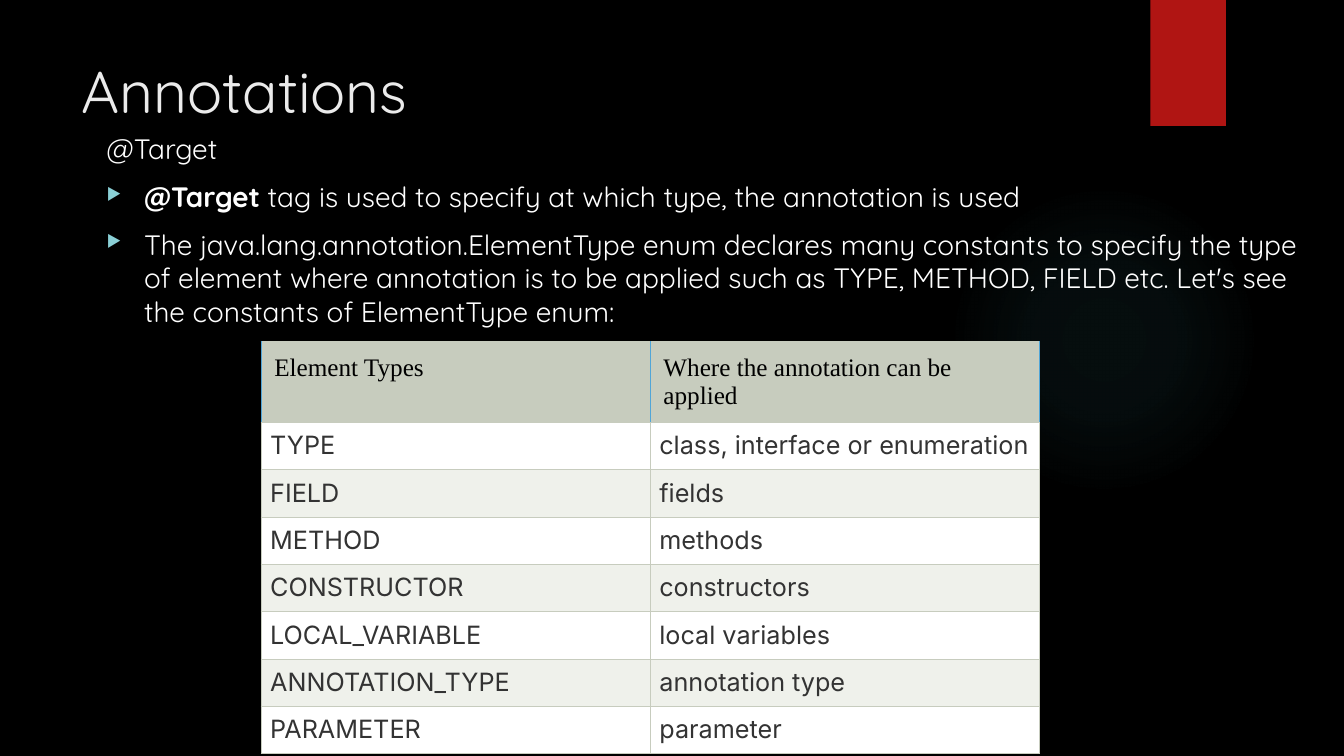
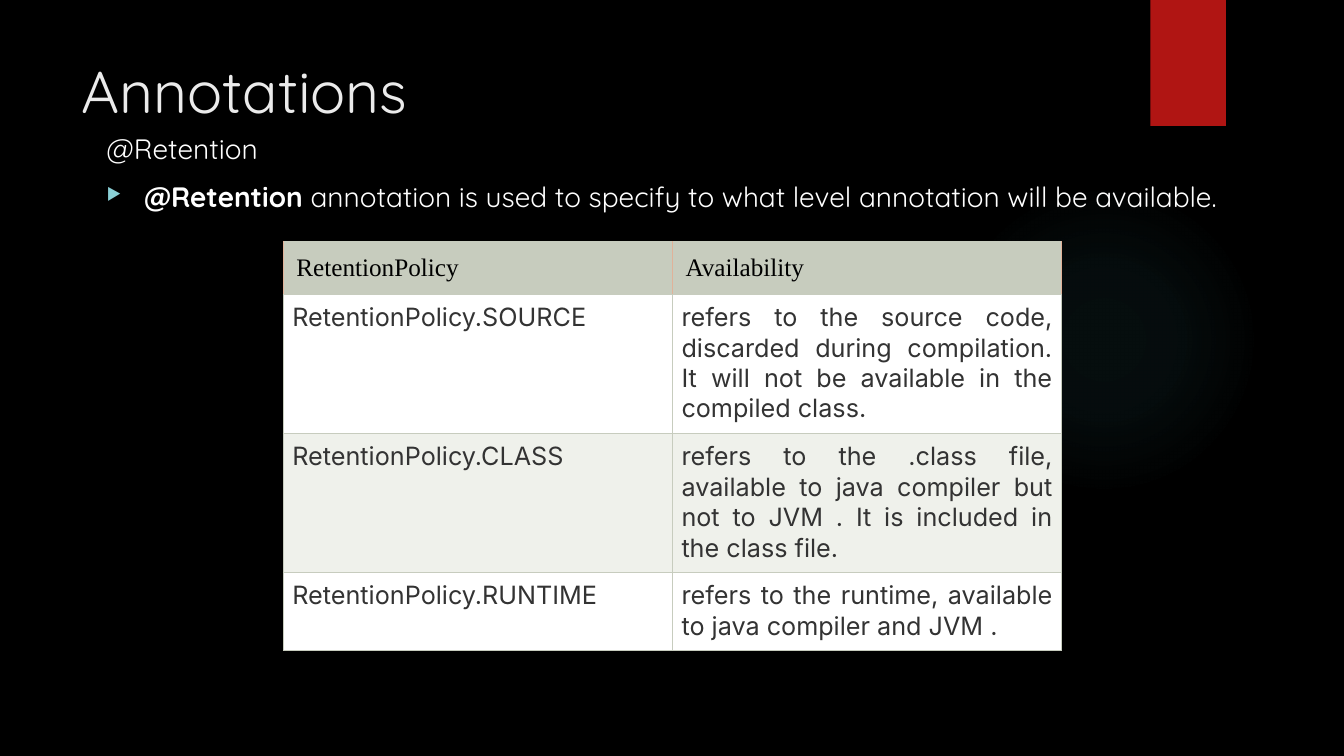
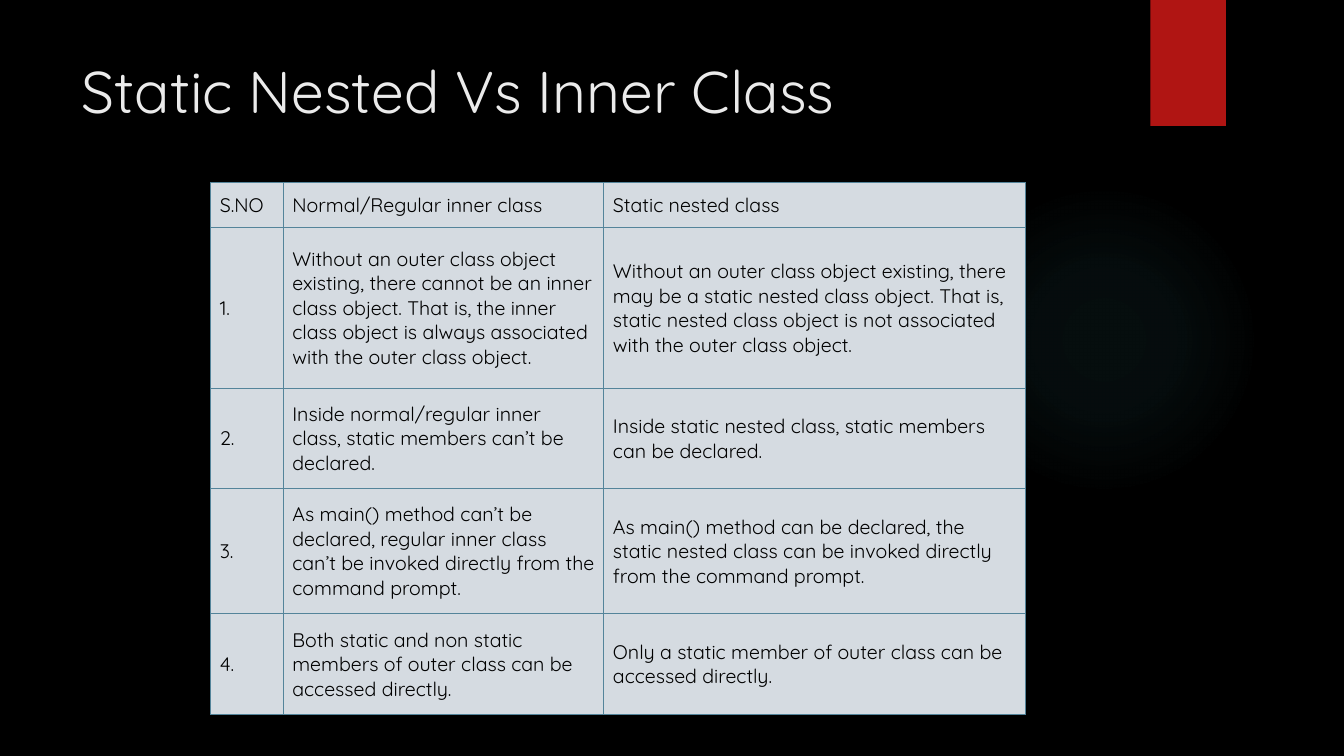
from lxml.etree import SubElement
from pptx import Presentation
from pptx.dml.color import RGBColor
from pptx.enum.shapes import MSO_SHAPE as Shape
from pptx.enum.text import MSO_ANCHOR as Anchor, MSO_AUTO_SIZE as AutoSize, PP_ALIGN as Align
from pptx.oxml import parse_xml
from pptx.oxml.ns import nsdecls, qn
from pptx.util import Inches, Pt

BLACK = RGBColor(0x00, 0x00, 0x00)
WHITE = RGBColor(0xFF, 0xFF, 0xFF)
TITLE_GREY = RGBColor(0xEB, 0xEB, 0xEB)
RED = RGBColor(0xB0, 0x15, 0x13)
GLOW = RGBColor(0x50, 0xB9, 0xC1)
BULLET = RGBColor(0x8A, 0xD0, 0xD6)
SAGE = RGBColor(0xC7, 0xCC, 0xBE)
PALE_SAGE = RGBColor(0xEF, 0xF1, 0xEB)
INK = RGBColor(0x33, 0x33, 0x33)
BLUE_EDGE = RGBColor(0x50, 0xA5, 0xD7)
PEACH_EDGE = RGBColor(0xE0, 0xB2, 0x99)
TEAL_EDGE = RGBColor(0x54, 0x84, 0x9A)
MIST = RGBColor(0xD5, 0xDB, 0xE1)

MAIN_FONT, HEADER_FONT, CELL_FONT = "Quicksand", "Times New Roman", "Inter"
BODY_BOX = (0.96, 1.26, 12.15, 4.59)
GLOW_STOPS = ((0, 7), (36, 6), (69, 0))  # position and opacity, percent


def write_text(paragraph, text, size=20, font=MAIN_FONT, color=WHITE, bold=False, align=Align.LEFT):
    """Add one formatted run to a paragraph."""
    paragraph.alignment = align
    run = paragraph.add_run()
    run.text = text
    run.font.size, run.font.name, run.font.bold = Pt(size), font, bold
    run.font.color.rgb = color


def add_plain_shape(slide, kind, box, color):
    """Add a flat shape without outline or shadow."""
    shape = slide.shapes.add_shape(kind, *map(Inches, box))
    shape.shadow.inherit = False
    shape.line.fill.background()
    shape.fill.solid()
    shape.fill.fore_color.rgb = color
    return shape


def add_glow(slide, box):
    """Add the faint round glow that fades outwards."""
    glow = add_plain_shape(slide, Shape.OVAL, box, GLOW)
    stops = "".join(
        f'<a:gs pos="{position * 1000}"><a:srgbClr val="{GLOW}">'
        f'<a:alpha val="{opacity * 1000}"/></a:srgbClr></a:gs>'
        for position, opacity in GLOW_STOPS)
    gradient = parse_xml(
        f'<a:gradFill {nsdecls("a")}><a:gsLst>{stops}</a:gsLst><a:path path="circle">'
        '<a:fillToRect l="50000" t="50000" r="50000" b="50000"/></a:path></a:gradFill>')
    properties = glow.element.spPr
    properties.replace(properties.find(qn("a:solidFill")), gradient)


def start_slide(prs, heading):
    """Add a slide with the shared decoration and its title."""
    slide = prs.slides.add_slide(prs.slide_layouts[5])
    add_glow(slide, (9.41, 1.83, 3.08, 3.08))
    add_plain_shape(slide, Shape.RECTANGLE, (11.41, 0, 0.75, 1.25), RED)
    title = slide.shapes.title
    title.left, title.top, title.width, title.height = map(Inches, (0.71, 0.49, 10.29, 1.53))
    frame = title.text_frame
    frame.vertical_anchor, frame.auto_size = Anchor.TOP, AutoSize.NONE
    write_text(frame.paragraphs[0], heading, size=42, color=TITLE_GREY)
    return slide


def add_bullet(paragraph):
    """Give a paragraph a hanging triangle bullet."""
    properties = paragraph._p.get_or_add_pPr()
    properties.set("marL", str(Inches(0.37)))
    properties.set("indent", str(Inches(-0.37)))
    SubElement(SubElement(properties, qn("a:buClr")), qn("a:srgbClr")).set("val", str(BULLET))
    SubElement(properties, qn("a:buSzPct")).set("val", "60000")
    SubElement(properties, qn("a:buChar")).set("char", "▶")


def add_body(slide, box, topic, bullets):
    """Write the topic line and its bullets, each a (bold, plain) pair."""
    frame = slide.shapes.add_textbox(*map(Inches, box)).text_frame
    frame.word_wrap = True
    topic_line = frame.paragraphs[0]
    topic_line.space_before = Pt(10)
    write_text(topic_line, topic)
    for strong, plain in bullets:
        line = frame.add_paragraph()
        line.space_before = Pt(10)
        add_bullet(line)
        if strong:
            write_text(line, strong, bold=True)
        write_text(line, plain)


def format_cell(cell, text, fill, edges, insets, anchor=Anchor.TOP, **text_format):
    """Fill in one cell; edges run left, right, top, bottom, insets are (side, top, bottom)."""
    properties = cell._tc.get_or_add_tcPr()
    for side, color in zip("LRTB", edges):
        line = SubElement(properties, qn(f"a:ln{side}"), w=str(Pt(0.75)))
        SubElement(SubElement(line, qn("a:solidFill")), qn("a:srgbClr")).set("val", str(color))
    cell.fill.solid()
    cell.fill.fore_color.rgb = fill
    side_inset, cell.margin_top, cell.margin_bottom = map(Inches, insets)
    cell.margin_left = cell.margin_right = side_inset
    cell.vertical_anchor = anchor
    write_text(cell.text_frame.paragraphs[0], text, **text_format)


def add_grid(slide, corner, widths, heights, rows, style_row):
    """Build a table at a corner; style_row gives the cell format for a row number."""
    box = (*corner, sum(widths), sum(heights))
    table = slide.shapes.add_table(len(rows), len(widths), *map(Inches, box)).table
    table.first_row = table.horz_banding = False
    for column, width in zip(table.columns, widths):
        column.width = Inches(width)
    for number, (row, height, texts) in enumerate(zip(table.rows, heights, rows)):
        row.height = Inches(height)
        for cell, text in zip(row.cells, texts):
            format_cell(cell, text, **style_row(number))


def add_constants_table(slide, corner, heights, rows, header_edge):
    """Add a two-column table with a sage header and banded rows."""
    def style_row(number):
        if number == 0:
            return dict(fill=SAGE, edges=(header_edge, header_edge, SAGE, SAGE),
                        insets=(0.13, 0.12, 0.08), size=18, font=HEADER_FONT, color=BLACK)
        return dict(fill=WHITE if number % 2 else PALE_SAGE, edges=(SAGE,) * 4,
                    insets=(0.09, 0.08, 0.07), size=18, font=CELL_FONT, color=INK,
                    align=Align.JUSTIFY)
    add_grid(slide, corner, (3.86, 3.86), heights, rows, style_row)


def add_comparison_table(slide, corner, widths, heights, rows):
    """Add the numbered comparison table with centred rows."""
    def style_row(number):
        end_inset = 0.13 if number else 0.1
        return dict(fill=MIST, edges=(TEAL_EDGE,) * 4, insets=(0.09, end_inset, end_inset),
                    anchor=Anchor.MIDDLE, size=14, color=BLACK)
    add_grid(slide, corner, widths, heights, rows, style_row)


def build_target(prs):
    """Slide on the @Target annotation."""
    slide = start_slide(prs, "Annotations")
    add_body(slide, BODY_BOX, "@Target", [
        ("@Target", "\u00a0tag is used to specify at which type, the annotation is used"),
        ("", "The java.lang.annotation.ElementType\u00a0enum declares many constants to specify "
             "the type of element where annotation is to be applied such as TYPE, METHOD, FIELD "
             "etc. Let's see the constants of ElementType enum:"),
    ])
    add_constants_table(slide, (2.59, 3.39), [0.8] + [0.47] * 7, [
        ("Element Types", "Where the annotation can be applied"),
        ("TYPE", "class, interface or enumeration"),
        ("FIELD", "fields"),
        ("METHOD", "methods"),
        ("CONSTRUCTOR", "constructors"),
        ("LOCAL_VARIABLE", "local variables"),
        ("ANNOTATION_TYPE", "annotation type"),
        ("PARAMETER", "parameter"),
    ], BLUE_EDGE)


def build_retention(prs):
    """Slide on the @Retention annotation."""
    slide = start_slide(prs, "Annotations")
    add_body(slide, BODY_BOX, "@Retention", [
        ("@Retention", "\u00a0annotation is used to specify to what level annotation "
                       "will be available."),
    ])
    add_constants_table(slide, (2.81, 2.4), (0.52, 1.38, 1.38, 0.77), [
        ("RetentionPolicy", "Availability"),
        ("RetentionPolicy.SOURCE", "refers to the source code, discarded during compilation. "
                                   "It will not be available in the compiled class."),
        ("RetentionPolicy.CLASS", "refers to the .class file, available to java compiler but "
                                  "not to JVM . It is included in the class file."),
        ("RetentionPolicy.RUNTIME", "refers to the runtime, available to java compiler and JVM ."),
    ], PEACH_EDGE)


def build_comparison(prs):
    """Slide comparing static nested and inner classes."""
    slide = start_slide(prs, "Static Nested Vs Inner Class")
    add_comparison_table(slide, (2.09, 1.81), (0.72, 3.18, 4.18), (0.45, 1.59, 1, 1.24, 1), [
        ("S.NO", "Normal/Regular inner class", "Static nested class"),
        ("1.", "Without an outer class object existing, there cannot be an inner class object. "
               "That is, the inner class object is always associated with the outer class object.",
         "Without an outer class object existing, there may be a static nested class object. "
         "That is, static nested class object is not associated with the outer class object."),
        ("2.", "Inside normal/regular inner class, static members can’t be declared.",
         "Inside static nested class, static members can be declared."),
        ("3.", "As main() method can’t be declared, regular inner class can’t be invoked "
               "directly from the command prompt.",
         "As main() method can be declared, the static nested class can be invoked directly "
         "from the command prompt."),
        ("4.", "Both static and non static members of outer class can be accessed directly.",
         "Only a static member of outer class can be accessed directly."),
    ])


def main():
    """Build and save the presentation."""
    prs = Presentation()
    prs.slide_width, prs.slide_height = Inches(13.33), Inches(7.5)
    backdrop = prs.slide_master.background.fill
    backdrop.solid()
    backdrop.fore_color.rgb = BLACK
    for build in (build_target, build_retention, build_comparison):
        build(prs)
    prs.save("out.pptx")


main()
